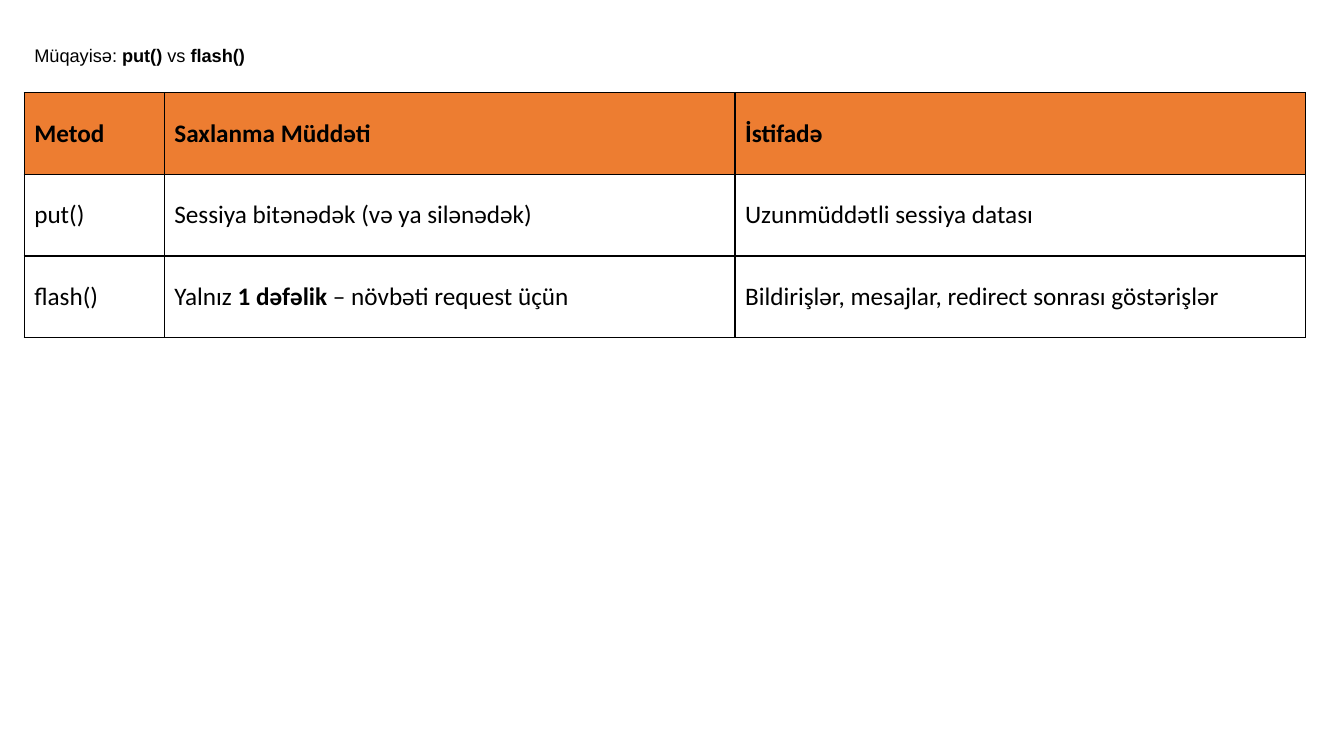
from lxml.etree import SubElement
from pptx import Presentation
from pptx.dml.color import RGBColor
from pptx.enum.text import MSO_ANCHOR, MSO_AUTO_SIZE, PP_ALIGN
from pptx.oxml.ns import qn
from pptx.util import Inches, Pt

BLACK = RGBColor(0x00, 0x00, 0x00)
WHITE = RGBColor(0xFF, 0xFF, 0xFF)
ORANGE = RGBColor(0xED, 0x7D, 0x31)

TITLE = [("Müqayisə: ", False), ("put() ", True), ("vs ", False), ("flash()", True)]
HEADER = ["Metod", "Saxlanma Müddəti", "İstifadə"]
METHODS = [
    [
        [("put()", False)],
        [("Sessiya bitənədək (və ya silənədək)", False)],
        [("Uzunmüddətli sessiya datası", False)],
    ],
    [
        [("flash()", False)],
        [("Yalnız ", False), ("1 dəfəlik", True), (" – növbəti request üçün", False)],
        [("Bildirişlər, mesajlar, redirect sonrası göstərişlər", False)],
    ],
]
COLUMN_WIDTHS = [1.39, 5.66, 5.66]
ROW_HEIGHT = 0.81


class SlideBuilder:
    title_font, title_size = "Arial", Pt(13)
    table_font, table_size = "Calibri", Pt(18)
    border_width = Pt(1)

    def __init__(self, presentation):
        title_only = presentation.slide_layouts[5]
        self.slide = presentation.slides.add_slide(title_only)

    def add_runs(self, paragraph, runs, font_name, size):
        """Append (text, bold) runs to the paragraph."""
        paragraph.alignment = PP_ALIGN.LEFT
        for text, bold in runs:
            run = paragraph.add_run()
            run.text = text
            run.font.name = font_name
            run.font.size = size
            run.font.bold = bold
            run.font.color.rgb = BLACK

    def add_title(self, runs, left, top, width, height):
        title = self.slide.shapes.title
        title.left, title.top = Inches(left), Inches(top)
        title.width, title.height = Inches(width), Inches(height)
        frame = title.text_frame
        frame.word_wrap = True
        frame.auto_size = MSO_AUTO_SIZE.SHAPE_TO_FIT_TEXT
        frame.vertical_anchor = MSO_ANCHOR.TOP
        paragraph = frame.paragraphs[0]
        paragraph.line_spacing = 1.5
        self.add_runs(paragraph, runs, self.title_font, self.title_size)

    def add_borders(self, cell):
        properties = cell._tc.get_or_add_tcPr()
        for side in ("a:lnL", "a:lnR", "a:lnT", "a:lnB"):
            line = SubElement(properties, qn(side), w=str(self.border_width))
            fill = SubElement(line, qn("a:solidFill"))
            SubElement(fill, qn("a:srgbClr"), val=str(BLACK))

    def add_table(self, rows, left, top, column_widths, row_height):
        """Add a bordered table whose first row is the coloured header."""
        table = self.slide.shapes.add_table(
            len(rows), len(column_widths), Inches(left), Inches(top),
            Inches(sum(column_widths)), Inches(row_height * len(rows)),
        ).table
        table.first_row = table.horz_banding = False
        for column, width in zip(table.columns, column_widths):
            column.width = Inches(width)
        for row_index, row in enumerate(rows):
            table.rows[row_index].height = Inches(row_height)
            for column_index, runs in enumerate(row):
                cell = table.cell(row_index, column_index)
                self.add_borders(cell)
                cell.fill.solid()
                cell.fill.fore_color.rgb = WHITE if row_index else ORANGE
                cell.vertical_anchor = MSO_ANCHOR.MIDDLE
                paragraph = cell.text_frame.paragraphs[0]
                self.add_runs(paragraph, runs, self.table_font, self.table_size)


def main():
    presentation = Presentation()
    presentation.slide_width = Inches(13.33)
    presentation.slide_height = Inches(7.5)
    builder = SlideBuilder(presentation)
    builder.add_title(TITLE, 0.24, 0.28, 12.86, 0.39)
    header_row = [[(label, True)] for label in HEADER]
    builder.add_table([header_row, *METHODS], 0.24, 0.92, COLUMN_WIDTHS, ROW_HEIGHT)
    presentation.save("out.pptx")


if __name__ == "__main__":
    main()
